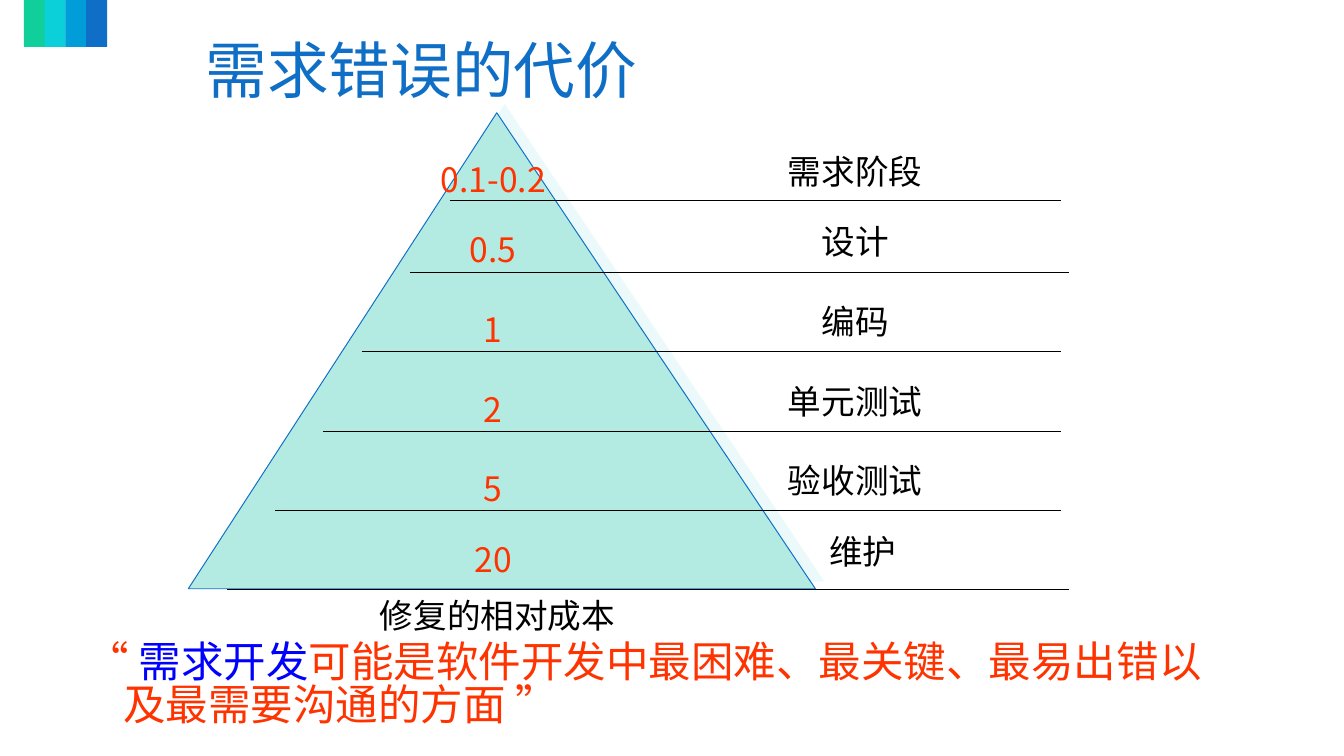
"""Build the slide on the relative cost of fixing requirement errors."""
from lxml import etree
from pptx import Presentation
from pptx.dml.color import RGBColor
from pptx.enum.shapes import MSO_CONNECTOR, MSO_SHAPE
from pptx.enum.text import MSO_ANCHOR, PP_ALIGN
from pptx.oxml.ns import qn
from pptx.util import Inches, Pt

FONT = "Noto Sans CJK SC"
RECT, TRIANGLE = MSO_SHAPE.RECTANGLE, MSO_SHAPE.ISOSCELES_TRIANGLE
STRAIGHT = MSO_CONNECTOR.STRAIGHT
CENTER, LEFT = PP_ALIGN.CENTER, PP_ALIGN.LEFT
MIDDLE = MSO_ANCHOR.MIDDLE
BLUE, BLACK, RED = "0F6FC6", "000000", "FF3300"


def rgb(value):
    return RGBColor.from_string(value)


def write(tf, text, size=25.3, color=BLACK, align=CENTER):
    tf.word_wrap = True
    p = tf.paragraphs[0]
    p.alignment = align
    r = p.add_run()
    r.text = text
    r.font.size = Pt(size)
    r.font.name = FONT
    r.font.color.rgb = rgb(color)
    etree.SubElement(r.font._element, qn("a:ea"), typeface=FONT)


prs = Presentation()
prs.slide_width, prs.slide_height = Inches(14.06), Inches(7.91)
s = prs.slides.add_slide(prs.slide_layouts[5])

for i, color in enumerate(["10CF9B", "0BD0D9", "009DD9", BLUE]):
    sp = s.shapes.add_shape(RECT, Inches(0.25 + i * 0.217), Inches(-0.02),
                            Inches(0.22), Inches(0.51))
    sp.shadow.inherit = False
    sp.fill.solid()
    sp.fill.fore_color.rgb = rgb(color)
    sp.line.fill.background()

title = s.shapes.title
title.left, title.top = Inches(1.29), Inches(0.28)
title.width, title.height = Inches(6.24), Inches(0.88)
tf = title.text_frame
tf.vertical_anchor = MIDDLE
tf.margin_top = tf.margin_bottom = 0
write(tf, "需求错误的代价", size=46.4, color=BLUE)

pyramid = s.shapes.add_shape(TRIANGLE, Inches(1.97), Inches(1.18),
                             Inches(6.56), Inches(4.98))
pyramid.adjustments[0] = 0.492
pyramid.fill.solid()
pyramid.fill.fore_color.rgb = rgb("B3EBE2")
pyramid.line.color.rgb = rgb(BLUE)
pyramid.line.width = Pt(0.75)
pyramid.shadow.inherit = False
effects = pyramid._element.spPr.find(qn("a:effectLst"))
shadow = etree.SubElement(effects, qn("a:outerShdw"), blurRad="0",
                          dist=str(Pt(8.5)), dir=str(315 * 60000),
                          algn="ctr", rotWithShape="0")
tint = etree.SubElement(shadow, qn("a:srgbClr"), val="DBF5F9")
etree.SubElement(tint, qn("a:alpha"), val="50000")

stages = [
    ("需求阶段", "0.1-0.2", 2.1, 4.71, 11.1, 6.95, 1.52),
    ("设计", "0.5", 2.85, 4.29, 11.18, 6.95, 2.26),
    ("编码", "1", 3.68, 3.79, 11.1, 6.95, 3.09),
    ("单元测试", "2", 4.51, 3.38, 11.1, 6.95, 3.93),
    ("验收测试", "5", 5.34, 2.88, 11.1, 6.95, 4.76),
    ("维护", "20", 6.17, 2.38, 11.18, 7.03, 5.5),
]
labels = [("修复的相对成本", 3.21, 6.17, 3.99, BLACK)]
for stage, cost, y, x1, x2, left, top in stages:
    line = s.shapes.add_connector(STRAIGHT, Inches(x1), Inches(y),
                                  Inches(x2), Inches(y))
    line.line.color.rgb = rgb(BLACK)
    line.line.width = Pt(0.75)
    etree.SubElement(line._element.spPr, qn("a:effectLst"))
    labels += [(stage, left, top, 3.99, BLACK),
               (cost, 4.37, top + 0.085, 1.58, RED)]

for text, left, top, width, color in labels:
    sp = s.shapes.add_textbox(Inches(left), Inches(top),
                              Inches(width), Inches(0.53))
    tf = sp.text_frame
    tf.vertical_anchor = MIDDLE
    tf.margin_top = tf.margin_bottom = 0
    write(tf, text, color=color)

quote = s.shapes.add_textbox(Inches(0.81), Inches(6.69),
                             Inches(12.3), Inches(0.99))
tf = quote.text_frame
for text, color in [("“ ", RED), ("需求开发", "0000FF"),
                    ("可能是软件开发中最困难、最关键、最易出错以及最需要沟通的方面 ”", RED)]:
    write(tf, text, size=32, color=color, align=LEFT)
p = tf.paragraphs[0]
p.line_spacing = 0.83
p.space_before = Pt(4)
pPr = p._p.get_or_add_pPr()
pPr.set("marL", str(Inches(0.38)))
pPr.set("indent", str(Inches(-0.38)))

prs.save("out.pptx")
